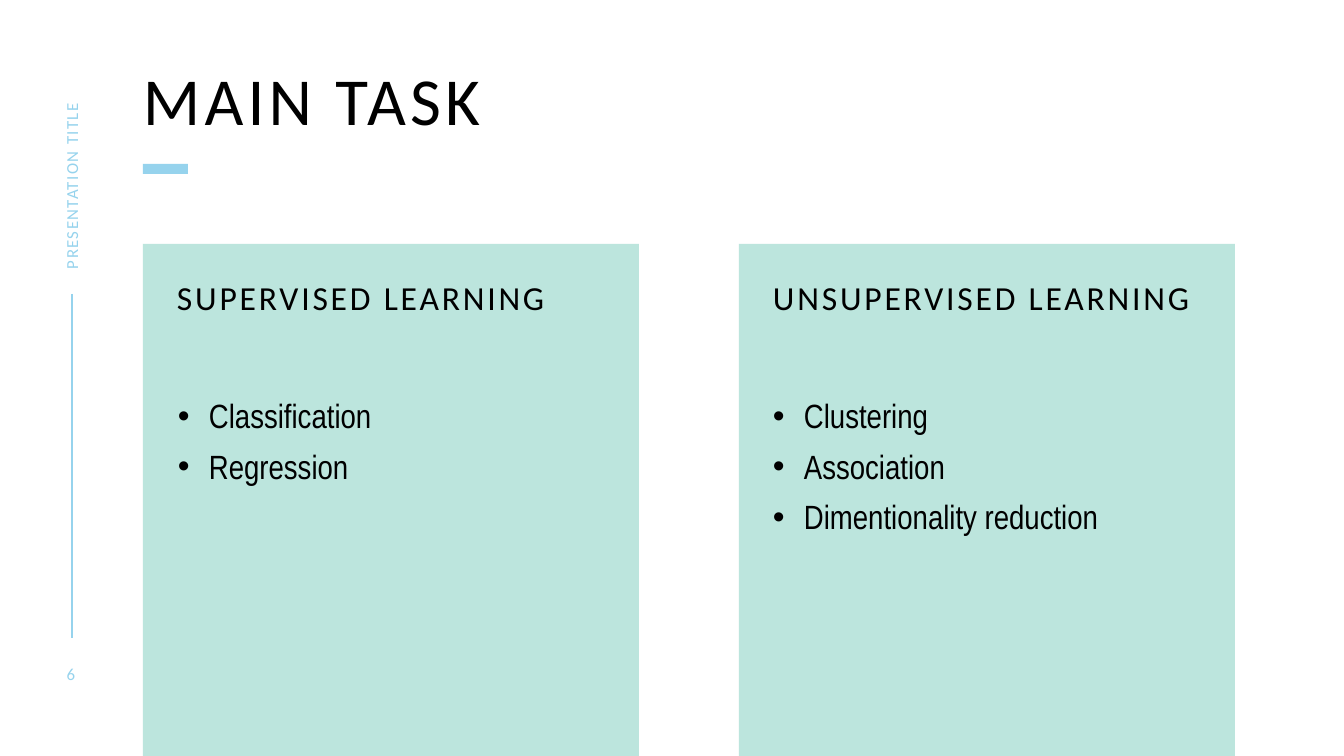
from lxml.etree import SubElement
from pptx import Presentation
from pptx.dml.color import RGBColor
from pptx.enum.shapes import MSO_CONNECTOR, MSO_SHAPE
from pptx.enum.text import MSO_ANCHOR, MSO_AUTO_SIZE, PP_ALIGN
from pptx.oxml.ns import qn
from pptx.util import Pt

PX = 12192000 / 1344
BLUE, MINT, BLACK = "96D3ED", "BCE5DD", "000000"


def color(value):
    return RGBColor.from_string(value)


def write(shape, lines, size, ink, font="Calibri", spacing=0, insets=(0, 0, 0, 0),
          anchor=MSO_ANCHOR.TOP, align=PP_ALIGN.LEFT, leading=None, bullets=False):
    frame = shape.text_frame
    frame.auto_size = MSO_AUTO_SIZE.NONE
    frame.word_wrap = True
    frame.vertical_anchor = anchor
    frame.margin_left, frame.margin_top, frame.margin_right, frame.margin_bottom = [
        round(inset * PX) for inset in insets]
    frame.text = "\n".join(lines)
    for index, paragraph in enumerate(frame.paragraphs):
        paragraph.alignment = align
        if leading:
            paragraph.line_spacing = leading
        if index:
            paragraph.space_before = Pt(10)
        props = paragraph._p.get_or_add_pPr()
        if bullets:
            props.set("marL", str(round(31 * PX)))
            props.set("indent", str(round(-31 * PX)))
            SubElement(props, qn("a:buFont"), typeface="Arial")
            SubElement(props, qn("a:buChar"), char="•")
        paragraph.font.name = font
        paragraph.font.size = Pt(size)
        paragraph.font.color.rgb = color(ink)
        props.find(qn("a:defRPr")).set("spc", str(spacing * 100))


prs = Presentation()
prs.slide_width, prs.slide_height = round(1344 * PX), round(756 * PX)
slide = prs.slides.add_slide(prs.slide_layouts[5])
shapes = slide.shapes

rule = shapes.add_connector(MSO_CONNECTOR.STRAIGHT,
                            *[round(n * PX) for n in (72, 294, 72, 638)])
rule.line.color.rgb = color(BLUE)
rule.line.width = Pt(1)
SubElement(rule._element.spPr, qn("a:effectLst"))

title = shapes.title
title.left, title.top, title.width, title.height = [round(n * PX) for n in (143, 67, 734, 59)]
write(title, ["MAIN TASK"], 48, BLACK, spacing=3, leading=0.9)

tasks = [
    ("SUPERVISED LEARNING", ["Classification", "Regression"]),
    ("UNSUPERVISED LEARNING", ["Clustering", "Association", "Dimentionality reduction"]),
]
blocks = [(143, 164, 45, 10, BLUE)]
blocks += [(143 + 596 * column, 244, 496, 512, MINT) for column in range(len(tasks))]
panels = []
for *box, fill in blocks:
    panel = shapes.add_shape(MSO_SHAPE.RECTANGLE, *[round(n * PX) for n in box])
    panel.shadow.inherit = False
    panel.fill.solid()
    panel.fill.fore_color.rgb = color(fill)
    panel.line.fill.background()
    panels.append(panel)

for column, (heading, methods) in enumerate(tasks):
    write(panels[column + 1], [heading], 24, BLACK, spacing=2,
          insets=(34, 40, 30, 0), leading=Pt(24))
    method_list = shapes.add_textbox(
        *[round(n * PX) for n in (178 + 595 * column, 400, 428, 277)])
    write(method_list, methods, 24, BLACK, font="Arial Narrow", leading=0.9, bullets=True)

page_number = shapes.add_textbox(*[round(n * PX) for n in (46, 664, 50, 20)])
write(page_number, ["6"], 12, BLUE, spacing=2, anchor=MSO_ANCHOR.MIDDLE, align=PP_ALIGN.CENTER)

footer = shapes.add_textbox(*[round(n * PX) for n in (-27, 160, 197, 21)])
footer.rotation = 270
write(footer, ["PRESENTATION TITLE"], 12, BLUE, spacing=1, anchor=MSO_ANCHOR.MIDDLE)

prs.save("out.pptx")
